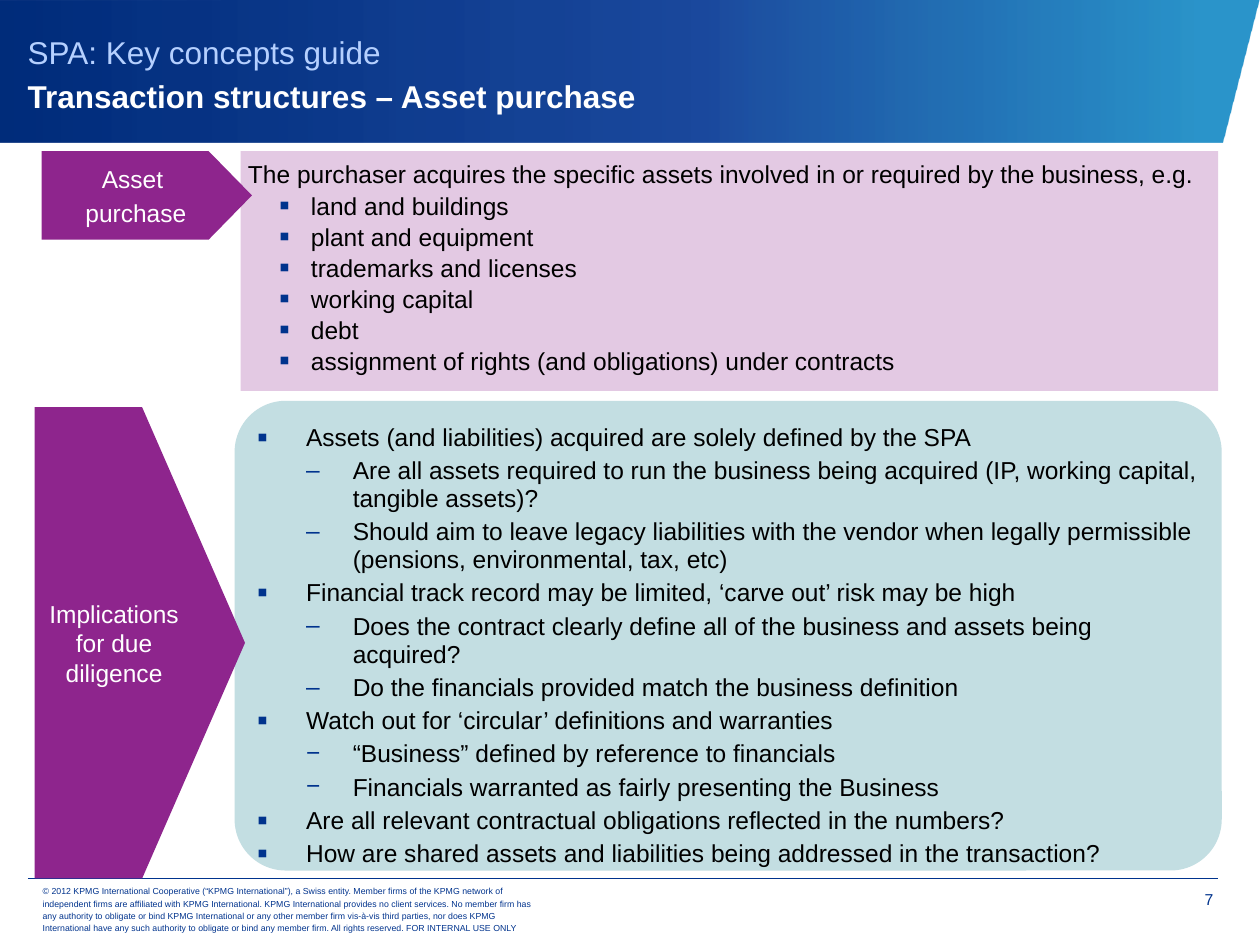
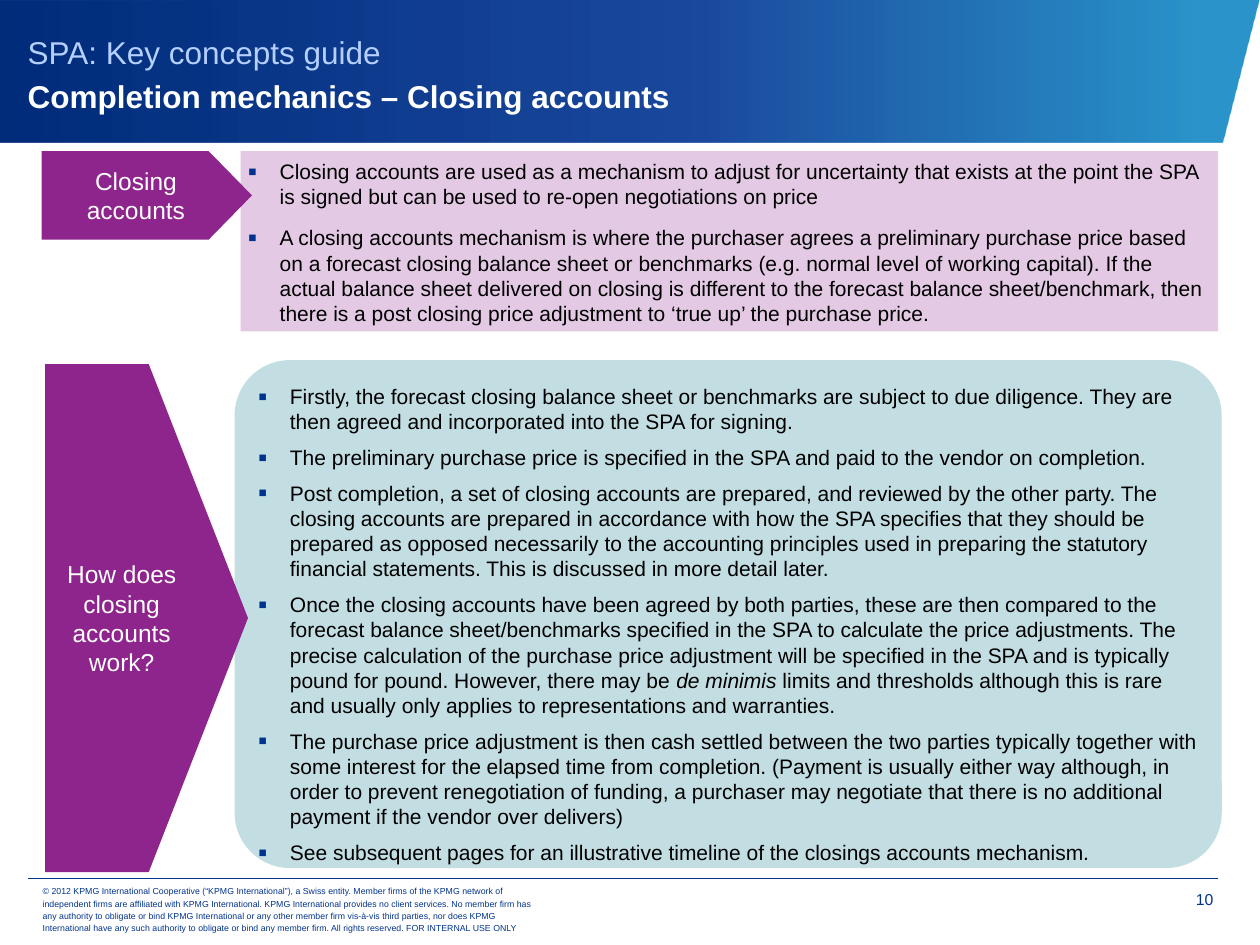
from dataclasses import dataclass, field

from lxml.etree import SubElement, fromstring
from pptx import Presentation
from pptx.dml.color import RGBColor
from pptx.enum.shapes import MSO_CONNECTOR as Connector, MSO_SHAPE as Shape
from pptx.enum.text import MSO_ANCHOR as Anchor, PP_ALIGN as Align
from pptx.oxml.ns import nsdecls, qn
from pptx.util import Cm, Pt


@dataclass(frozen=True)
class Theme:
    font: str = "Arial"
    blue: str = "00338D"
    pale_blue: str = "B5D0FF"
    white: str = "FFFFFF"
    black: str = "000000"
    purple: str = "8E258D"
    lilac: str = "E3C9E3"
    teal: str = "C3DEE2"
    # position %, colour, opacity %
    band: tuple = ((4, "0080C0", 83), (44, "003492", 89), (100, "002C7A", 100))
    title_size: float = 18
    label_size: float = 14
    page_size: float = 9
    footer_size: float = 5
    spacing: float = 1.0


THEME = Theme()


@dataclass(frozen=True)
class Box:
    left: float
    top: float
    width: float
    height: float

    def emu(self) -> tuple:
        return Cm(self.left), Cm(self.top), Cm(self.width), Cm(self.height)


@dataclass(frozen=True)
class ParaStyle:
    left: float = 0
    hang: float = 0
    bullet: str = ""
    bullet_percent: int = 100
    align: Align = Align.LEFT
    format: dict = field(default_factory=dict)


@dataclass(frozen=True)
class Para:
    """Words between asterisks are italic."""
    style: ParaStyle
    text: str


@dataclass(frozen=True)
class Section:
    """A purple arrow label and the panel it points to."""
    label: tuple
    arrow: Box
    panel: Box
    kind: Shape
    fill: str
    size: float
    paras: tuple


@dataclass(frozen=True)
class Page:
    number: int
    title: str
    sections: tuple


SERIES = "SPA: Key concepts guide"
COPYRIGHT = (
    "© 2012 KPMG International Cooperative (“KPMG International”), a Swiss entity. "
    "Member firms of the KPMG network of independent firms are affiliated with KPMG "
    "International. KPMG International provides no client services. No member firm has "
    "any authority to obligate or bind KPMG International or any other member firm "
    "vis-à-vis third parties, nor does KPMG International have any such authority to "
    "obligate or bind any member firm. All rights reserved. FOR INTERNAL USE ONLY")

TITLE_BOX = Box(0.56, 0.32, 23.75, 2.21)
FOOTER_BOX = Box(0.61, 17.88, 10.54, 0.89)
PAGE_BOX = Box(23.06, 17.73, 1.4, 0.79)
BAND_POINTS = ((-0.03, 2.87), (24.65, 2.87), (25.4, -0.03), (-0.03, 0))
RULE = (0.56, 17.7, 24.56, 17.7)
ARROW_INSETS = (0.15, 0.15, 0.15, 0.15)
PANEL_INSETS = (0.15, 0.15, 0.1, 0.15)
ARROW_POINT = 0.489
PANEL_ROUNDING = 0.109
SQUARE = "▪"


def spaced(line, before: float, after: float) -> dict:
    return dict(line_spacing=line, space_before=Pt(before), space_after=Pt(after))


LEAD = ParaStyle(format=spaced(THEME.spacing, 3, 3))
ITEM = ParaStyle(1.27, 0.64, SQUARE, 125, format=spaced(0.7, 3, 3))
POINT = ParaStyle(0.99, 0.99, SQUARE, 125, format=spaced(Pt(16), 3, 0))
DASH = ParaStyle(1.93, 0.94, "–", format=spaced(Pt(16), 3, 0))
MINUS = ParaStyle(1.93, 0.94, "−", format=spaced(Pt(16), 3, 0))
NOTE = ParaStyle(0.64, 0.64, SQUARE, 125, format=spaced(THEME.spacing, 3, 6))
STEP = ParaStyle(0.64, 0.64, SQUARE, 125, format=spaced(THEME.spacing, 3, 3))
LABEL = ParaStyle(align=Align.CENTER, format=spaced(THEME.spacing, 2.8, 0))
TITLE = ParaStyle(format=dict(line_spacing=Pt(25)))
FOOTER = ParaStyle(format=dict(line_spacing=Pt(7)))
NUMBER = ParaStyle(align=Align.RIGHT)

TOP_ARROW = Box(0.84, 3.05, 4.24, 1.78)

PAGES = (
    Page(7, "Transaction structures – Asset purchase", (
        Section(("Asset ", "purchase"), TOP_ARROW, Box(4.85, 3.05, 19.71, 4.83),
                Shape.RECTANGLE, THEME.lilac, 14, (
            Para(LEAD, "The purchaser acquires the specific assets involved in or required "
                       "by the business, e.g."),
            *(Para(ITEM, asset) for asset in (
                "land and buildings", "plant and equipment", "trademarks and licenses",
                "working capital", "debt",
                "assignment of rights (and obligations) under contracts")),
        )),
        Section(("Implications for due diligence",), Box(0.7, 8.21, 4.24, 9.5),
                Box(4.73, 8.08, 19.9, 9.47), Shape.ROUNDED_RECTANGLE, THEME.teal, 14, (
            Para(POINT, "Assets (and liabilities) acquired are solely defined by the SPA"),
            Para(DASH, "Are all assets required to run the business being acquired (IP, "
                       "working capital, tangible assets)?"),
            Para(DASH, "Should aim to leave legacy liabilities with the vendor when legally "
                       "permissible (pensions, environmental, tax, etc)"),
            Para(POINT, "Financial track record may be limited, ‘carve out’ risk may be high"),
            Para(DASH, "Does the contract clearly define all of the business and assets "
                       "being acquired?"),
            Para(DASH, "Do the financials provided match the business definition"),
            Para(POINT, "Watch out for ‘circular’ definitions and warranties"),
            Para(MINUS, "“Business” defined by reference to financials"),
            Para(MINUS, "Financials warranted as fairly presenting the Business"),
            Para(POINT, "Are all relevant contractual obligations reflected in the numbers?"),
            Para(POINT, "How are shared assets and liabilities being addressed in the "
                        "transaction?"),
        )),
    )),
    Page(10, "Completion mechanics – Closing accounts", (
        Section(("Closing accounts",), TOP_ARROW, Box(4.85, 3.05, 19.71, 3.63),
                Shape.RECTANGLE, THEME.lilac, 12, (
            Para(NOTE, "Closing accounts are used as a mechanism to adjust for uncertainty "
                       "that exists at the point the SPA is signed but can be used to "
                       "re-open negotiations on price"),
            Para(NOTE, "A closing accounts mechanism is where the purchaser agrees a "
                       "preliminary purchase price based on a forecast closing balance sheet "
                       "or benchmarks (e.g. normal level of working capital). If the actual "
                       "balance sheet delivered on closing is different to the forecast "
                       "balance sheet/benchmark, then there is a post closing price "
                       "adjustment to ‘true up’ the purchase price."),
        )),
        Section(("How does closing accounts work?",), Box(0.91, 7.34, 4.09, 10.24),
                Box(4.73, 7.26, 19.9, 10.24), Shape.ROUNDED_RECTANGLE, THEME.teal, 12, (
            Para(STEP, "Firstly, the forecast closing balance sheet or benchmarks are subject "
                       "to due diligence. They are then agreed and incorporated into the SPA "
                       "for signing."),
            Para(STEP, "The preliminary purchase price is specified in the SPA and paid to "
                       "the vendor on completion."),
            Para(STEP, "Post completion, a set of closing accounts are prepared, and reviewed "
                       "by the other party. The closing accounts are prepared in accordance "
                       "with how the SPA specifies that they should be prepared as opposed "
                       "necessarily to the accounting principles used in preparing the "
                       "statutory financial statements. This is discussed in more detail "
                       "later."),
            Para(STEP, "Once the closing accounts have been agreed by both parties, these are "
                       "then compared to the forecast balance sheet/benchmarks specified in "
                       "the SPA to calculate the price adjustments. The precise calculation "
                       "of the purchase price adjustment will be specified in the SPA and is "
                       "typically pound for pound. However, there may be *de minimis* limits "
                       "and thresholds although this is rare and usually only applies to "
                       "representations and warranties."),
            Para(STEP, "The purchase price adjustment is then cash settled between the two "
                       "parties typically together with some interest for the elapsed time "
                       "from completion. (Payment is usually either way although, in order to "
                       "prevent renegotiation of funding, a purchaser may negotiate that "
                       "there is no additional payment if the vendor over delivers)"),
            Para(STEP, "See subsequent pages for an illustrative timeline of the closings "
                       "accounts mechanism."),
        )),
    )),
)


def set_all(target, values: dict) -> None:
    for name, value in values.items():
        setattr(target, name, value)


def add_run(p, text: str, size: float, color: str, **font) -> None:
    r = p.add_run()
    r.text = text
    set_all(r.font, dict(name=THEME.font, size=Pt(size), **font))
    r.font.color.rgb = RGBColor.from_string(color)


def style_para(p, style: ParaStyle, first: bool) -> None:
    if style.bullet:
        pPr = p._p.get_or_add_pPr()
        pPr.set("marL", str(Cm(style.left)))
        pPr.set("indent", str(-Cm(style.hang)))
        color = SubElement(pPr, qn("a:buClr"))
        SubElement(color, qn("a:srgbClr"), val=THEME.blue)
        SubElement(pPr, qn("a:buSzPct"), val=str(style.bullet_percent * 1000))
        SubElement(pPr, qn("a:buFont"), typeface=THEME.font)
        SubElement(pPr, qn("a:buChar"), char=style.bullet)
    set_all(p, dict(alignment=style.align, **style.format))
    if first:
        p.space_before = Pt(0)


def set_frame(tf, anchor: Anchor, insets: tuple) -> None:
    """Insets run left, top, right, bottom."""
    sides = ("margin_left", "margin_top", "margin_right", "margin_bottom")
    set_all(tf, dict(word_wrap=True, vertical_anchor=anchor,
                     **{side: Cm(inset) for side, inset in zip(sides, insets)}))


def write(tf, paras: tuple, size: float, color: str) -> None:
    for i, para in enumerate(paras):
        p = tf.add_paragraph() if i else tf.paragraphs[0]
        style_para(p, para.style, first=i == 0)
        for j, part in enumerate(para.text.split("*")):
            add_run(p, part, size, color, italic=j % 2 == 1)


def add_block(s, kind: Shape, box: Box, fill: str, anchor: Anchor, insets: tuple):
    sp = s.shapes.add_shape(kind, *box.emu())
    sp.shadow.inherit = False
    sp.fill.solid()
    sp.fill.fore_color.rgb = RGBColor.from_string(fill)
    sp.line.fill.background()
    set_frame(sp.text_frame, anchor, insets)
    return sp


def add_text(s, box: Box, anchor: Anchor, insets: tuple):
    tf = s.shapes.add_textbox(*box.emu()).text_frame
    set_frame(tf, anchor, insets)
    return tf


def add_band(s) -> None:
    start, *rest = [(Cm(x), Cm(y)) for x, y in BAND_POINTS]
    builder = s.shapes.build_freeform(*start, scale=1.0)
    builder.add_line_segments(rest, close=True)
    sp = builder.convert_to_shape()
    sp.shadow.inherit = False
    sp.line.fill.background()
    stops = "".join(
        f'<a:gs pos="{pos * 1000}"><a:srgbClr val="{color}">'
        f'<a:alpha val="{opacity * 1000}"/></a:srgbClr></a:gs>'
        for pos, color, opacity in THEME.band)
    gradient = fromstring(f'<a:gradFill {nsdecls("a")} rotWithShape="1"><a:gsLst>{stops}'
                          '</a:gsLst><a:lin ang="10800000" scaled="0"/></a:gradFill>')
    sp._element.spPr.find(qn("a:custGeom")).addnext(gradient)


def add_rule(s) -> None:
    line = s.shapes.add_connector(Connector.STRAIGHT, *map(Cm, RULE))
    line.line.color.rgb = RGBColor.from_string(THEME.blue)
    line.line.width = Pt(0.25)
    SubElement(line._element.spPr, qn("a:effectLst"))


def add_title(s, title: str) -> None:
    p = add_text(s, TITLE_BOX, Anchor.MIDDLE, (0,) * 4).paragraphs[0]
    style_para(p, TITLE, first=True)
    add_run(p, SERIES, THEME.title_size, THEME.pale_blue)
    p.add_line_break()
    add_run(p, title, THEME.title_size, THEME.white, bold=True)


def add_footer(s, number: int) -> None:
    tf = add_text(s, FOOTER_BOX, Anchor.MIDDLE, (0.25, 0.13, 0.25, 0.13))
    write(tf, (Para(FOOTER, COPYRIGHT),), THEME.footer_size, THEME.blue)
    tf = add_text(s, PAGE_BOX, Anchor.TOP, (0.2, 0.2, 0, 0))
    write(tf, (Para(NUMBER, str(number)),), THEME.page_size, THEME.blue)
    add_rule(s)


def add_section(s, section: Section) -> None:
    panel = add_block(s, section.kind, section.panel, section.fill, Anchor.TOP, PANEL_INSETS)
    if section.kind == Shape.ROUNDED_RECTANGLE:
        panel.adjustments[0] = PANEL_ROUNDING
    write(panel.text_frame, section.paras, section.size, THEME.black)
    arrow = add_block(s, Shape.PENTAGON, section.arrow, THEME.purple, Anchor.MIDDLE,
                      ARROW_INSETS)
    arrow.adjustments[0] = ARROW_POINT
    label = tuple(Para(LABEL, text) for text in section.label)
    write(arrow.text_frame, label, THEME.label_size, THEME.white)


def main() -> None:
    prs = Presentation()
    prs.slide_width, prs.slide_height = Cm(25.4), Cm(19.05)
    for page in PAGES:
        s = prs.slides.add_slide(prs.slide_layouts[6])
        add_band(s)
        add_footer(s, page.number)
        add_title(s, page.title)
        for section in page.sections:
            add_section(s, section)
    prs.save("out.pptx")


if __name__ == "__main__":
    main()
